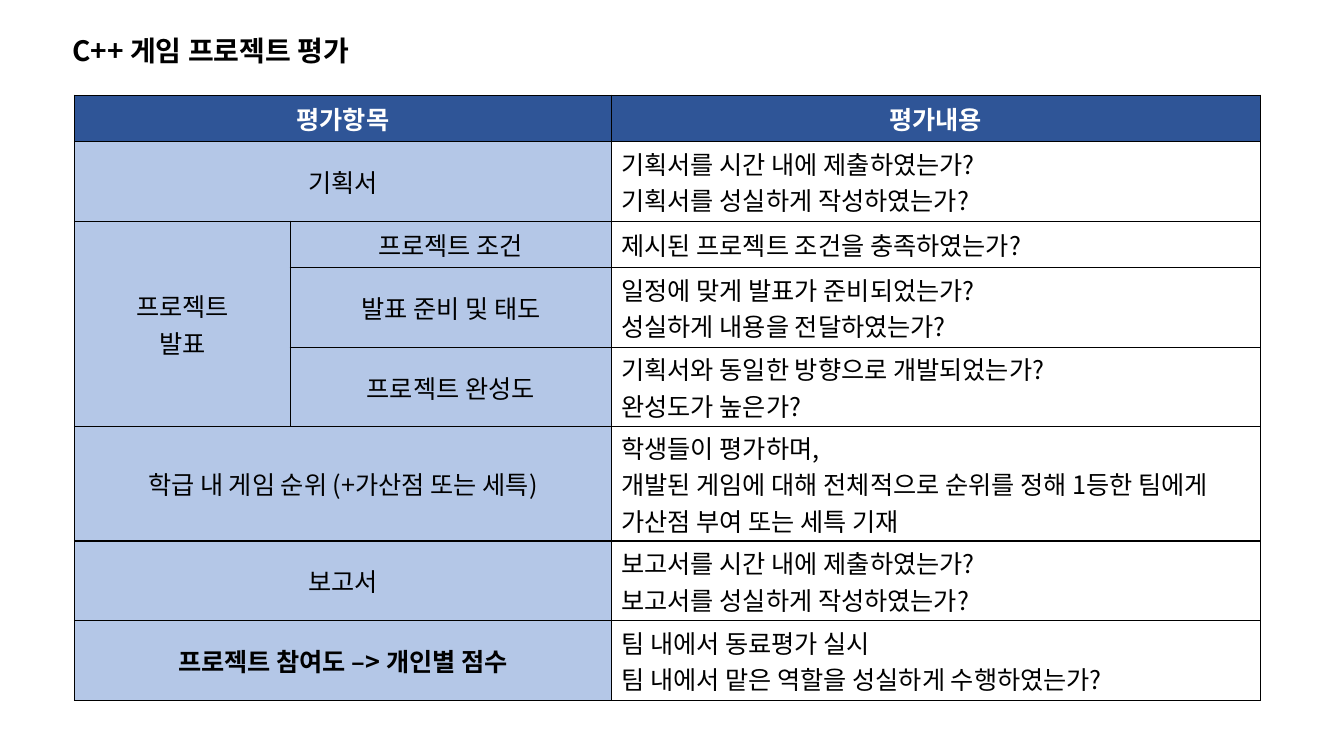
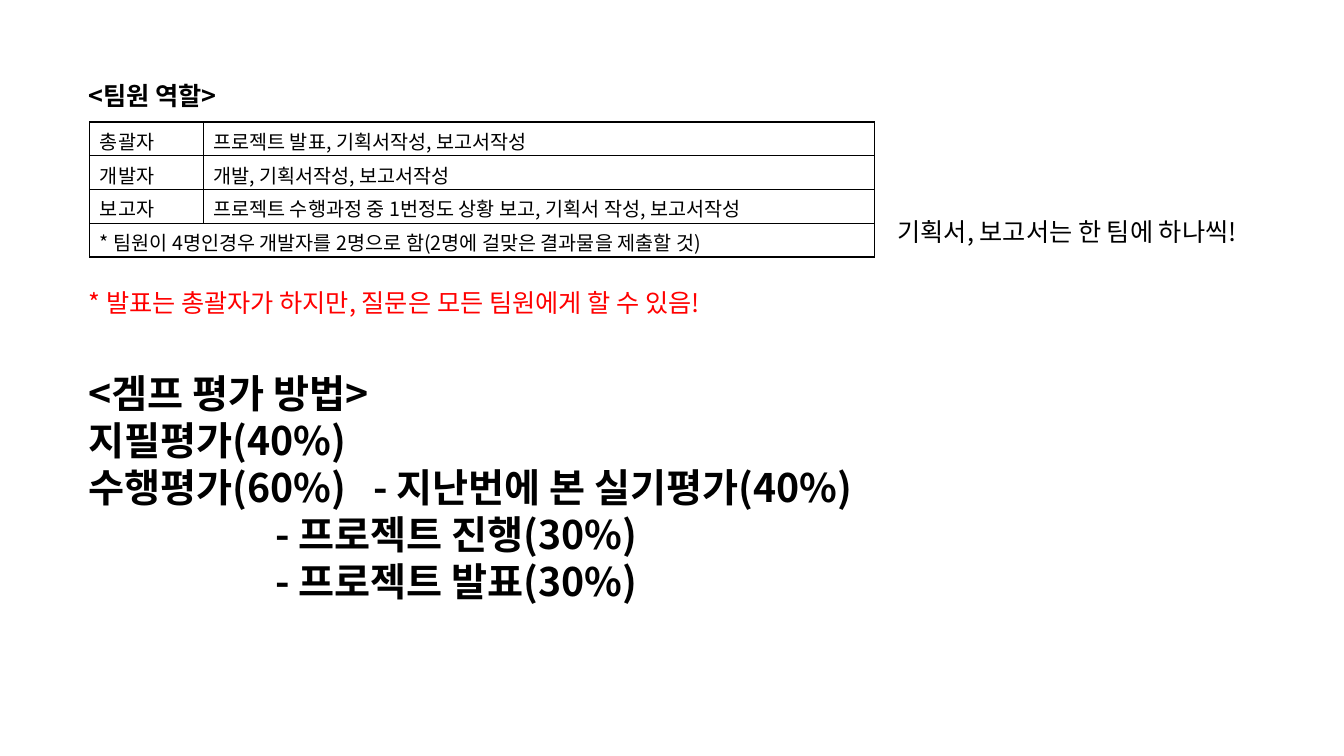
import pptx
import pptx.dml.color
import pptx.enum.text
import pptx.util
from lxml import etree
from pptx.oxml.ns import qn

Pt = pptx.util.Pt
Align = pptx.enum.text.PP_ALIGN
Anchor = pptx.enum.text.MSO_ANCHOR

THEME = {
    "font": "Noto Sans CJK KR",
    "black": "000000", "white": "FFFFFF", "red": "FF0000",
    "navy": "2F5597", "pale": "B4C7E7",
    "title": 20, "body": 18, "small": 14, "large": 28,
    "line": 1, "pitch": 1.2,
}

GRADES = [
    ("평가항목", None, "평가내용"),
    ("기획서", None, "기획서를 시간 내에 제출하였는가?\n기획서를 성실하게 작성하였는가?"),
    ("프로젝트\n발표", "프로젝트 조건", "제시된 프로젝트 조건을 충족하였는가?"),
    (None, "발표 준비 및 태도", "일정에 맞게 발표가 준비되었는가?\n성실하게 내용을 전달하였는가?"),
    (None, "프로젝트 완성도", "기획서와 동일한 방향으로 개발되었는가?\n완성도가 높은가?"),
    ("학급 내 게임 순위 (+가산점 또는 세특)", None,
     "학생들이 평가하며,\n개발된 게임에 대해 전체적으로 순위를 정해 1등한 팀에게 가산점 부여 또는 세특 기재"),
    ("보고서", None, "보고서를 시간 내에 제출하였는가?\n보고서를 성실하게 작성하였는가?"),
    ("프로젝트 참여도 –> 개인별 점수", None,
     "팀 내에서 동료평가 실시\n팀 내에서 맡은 역할을 성실하게 수행하였는가?"),
]
ROLES = [
    ("총괄자", "프로젝트 발표, 기획서작성, 보고서작성"),
    ("개발자", "개발, 기획서작성, 보고서작성"),
    ("보고자", "프로젝트 수행과정 중 1번정도 상황 보고, 기획서 작성, 보고서작성"),
    ("* 팀원이 4명인경우 개발자를 2명으로 함(2명에 걸맞은 결과물을 제출할 것)", None),
]
TITLE = ("C++ 게임 프로젝트 평가", (44.6, 20.5, 240, 31), {"size": "title", "bold": True})
NOTES = [
    ("<팀원 역할>", (56.2, 54, 140, 29), {"bold": True}),
    ("기획서, 보고서는 한 팀에 하나씩!", (634, 151.2, 290, 29), {}),
    ("* 발표는 총괄자가 하지만, 질문은 모든 팀원에게 할 수 있음!",
     (56.2, 201.6, 508, 29), {"color": "red"}),
]
METHOD = ("<겜프 평가 방법>\n지필평가(40%)\n수행평가(60%)\t- 지난번에 본 실기평가(40%)\n"
          "- 프로젝트 진행(30%)\n- 프로젝트 발표(30%)")
HEIGHTS = {1: 33, 2: 57, 3: 81.5}


def put(item, values):
    for name, value in values.items():
        setattr(item, name, value)


def paint(fill, color):
    fill.solid()
    fill.fore_color.rgb = pptx.dml.color.RGBColor.from_string(THEME[color])


def write(frame, text, size="body", color="black", bold=False,
          align=Align.LEFT, pitch=None):
    points = THEME[size]
    for i, line in enumerate(text.split("\n")):
        para = frame.add_paragraph() if i else frame.paragraphs[0]
        put(para, {"alignment": align,
                   "line_spacing": Pt(pitch or points * THEME["pitch"])})
        run = para.add_run()
        run.text = line
        put(run.font, {"size": Pt(points), "bold": bold, "name": THEME["font"]})
        paint(run.font.fill, color)
        east = etree.SubElement(run.font._element, qn("a:ea"))
        east.set("typeface", THEME["font"])


def label(slide, text, place, style):
    frame = slide.shapes.add_textbox(*map(Pt, place)).text_frame
    frame.word_wrap = True
    write(frame, text, **style)
    return frame


def border(cell):
    props = cell._tc.get_or_add_tcPr()
    for side in ("lnL", "lnR", "lnT", "lnB"):
        line = etree.SubElement(props, qn("a:" + side), w=str(Pt(THEME["line"])))
        fill = etree.SubElement(line, qn("a:solidFill"))
        etree.SubElement(fill, qn("a:srgbClr"), val=THEME["black"])


def grid(slide, rows, place, widths, heights, style, format):
    shape = slide.shapes.add_table(len(rows), len(widths), *map(Pt, place),
                                   Pt(sum(widths)), Pt(sum(heights)))
    table = shape.table
    put(table, {"first_row": False, "horz_banding": False})
    for col, width in zip(table.columns, widths):
        col.width = Pt(width)
    for r, (row, height) in enumerate(zip(rows, heights)):
        table.rows[r].height = Pt(height)
        for c, text in enumerate(row):
            cell = table.cell(r, c)
            look, fill = style(r, c)
            border(cell)
            paint(cell.fill, fill)
            put(cell, format)
            if text:
                write(cell.text_frame, text, **look)
    return table


def grade(r, c):
    head, left = r == 0, c < 2
    look = {"color": "white" if head else "black", "pitch": 26,
            "bold": head or (left and r == len(GRADES) - 1),
            "align": Align.CENTER if head or left else Align.LEFT}
    return look, "navy" if head else "pale" if left else "white"


def role(r, c):
    return {"size": "small", "pitch": 20}, "white"


def rubric(slide):
    label(slide, *TITLE)
    heights = [HEIGHTS[row[2].count("\n") + 1] for row in GRADES]
    heights[5] = HEIGHTS[3]
    table = grid(slide, GRADES, (53.2, 68), (154.2, 229.2, 463.6), heights, grade,
                 {"margin_top": Pt(1.4), "margin_bottom": Pt(1.4),
                  "vertical_anchor": Anchor.MIDDLE})
    for r, row in enumerate(GRADES):
        if row[1] is None:
            table.cell(r, 0).merge(table.cell(r, 1))
    table.cell(2, 0).merge(table.cell(4, 0))


def team(slide):
    table = grid(slide, ROLES, (64.2, 87.2), (81, 479.6), [24.1] * len(ROLES), role,
                 {"margin_top": Pt(3.6), "margin_bottom": Pt(0.4)})
    table.cell(3, 0).merge(table.cell(3, 1))
    for note in NOTES:
        label(slide, *note)
    frame = label(slide, METHOD, (56.2, 260, 610, 211), {"size": "large", "bold": True})
    paras = frame.paragraphs
    tabs = etree.SubElement(paras[2]._p.get_or_add_pPr(), qn("a:tabLst"))
    etree.SubElement(tabs, qn("a:tab"), pos=str(Pt(203.5)), algn="l")
    for para in paras[3:]:
        para._p.get_or_add_pPr().set("marL", str(Pt(133.5)))


def main():
    deck = pptx.Presentation()
    put(deck, {"slide_width": Pt(960), "slide_height": Pt(540)})
    for build in (rubric, team):
        build(deck.slides.add_slide(deck.slide_layouts[6]))
    deck.save("out.pptx")


if __name__ == "__main__":
    main()
